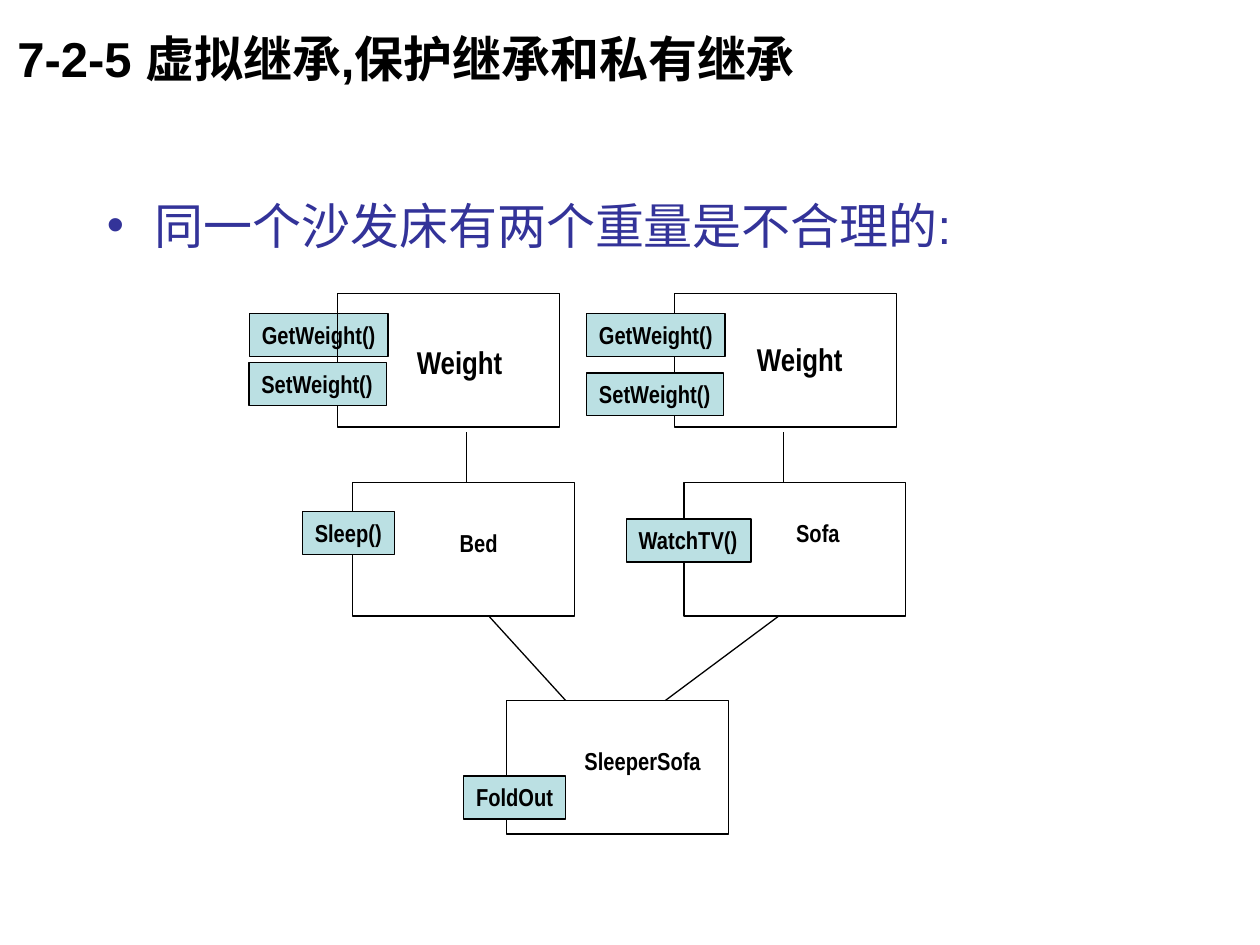
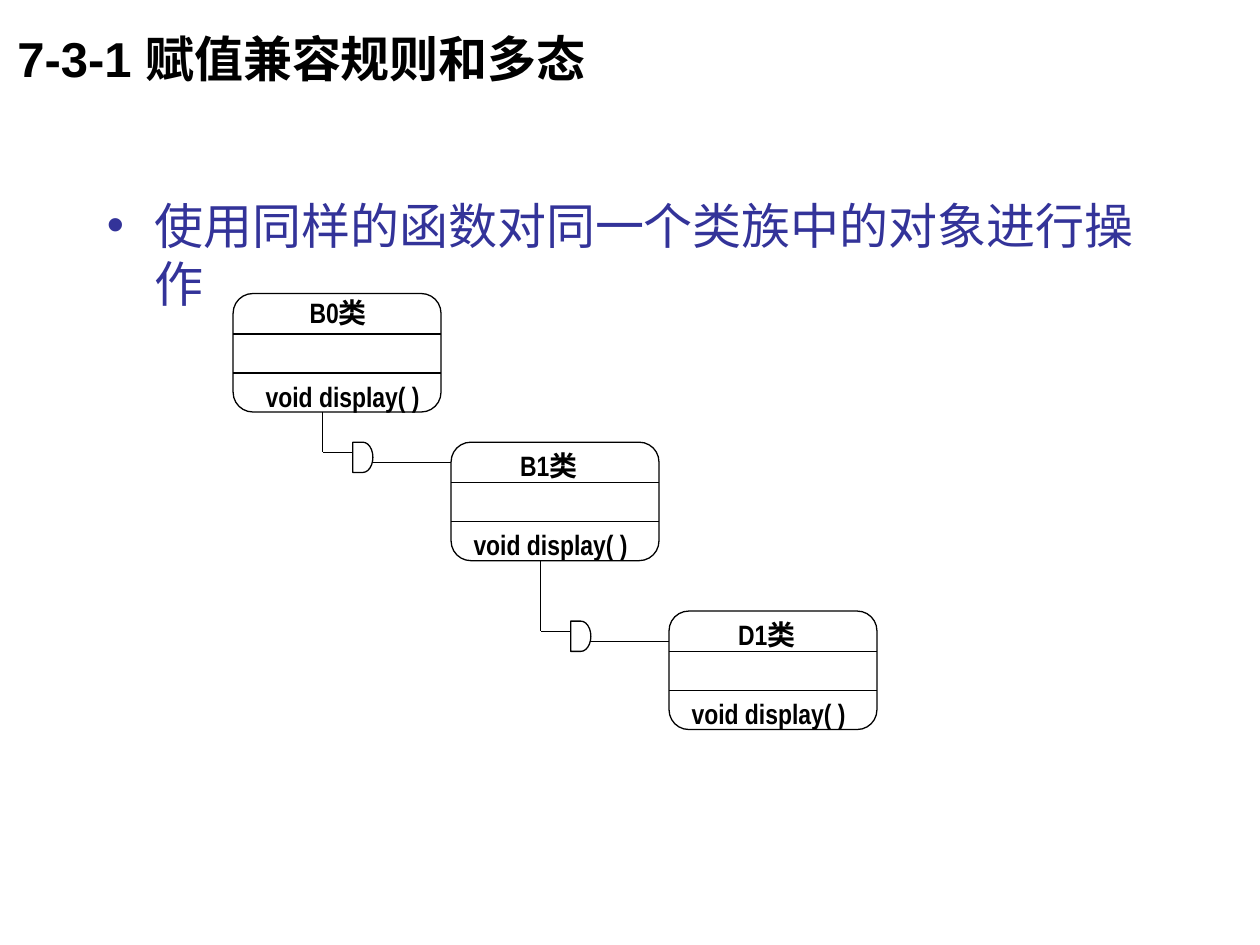
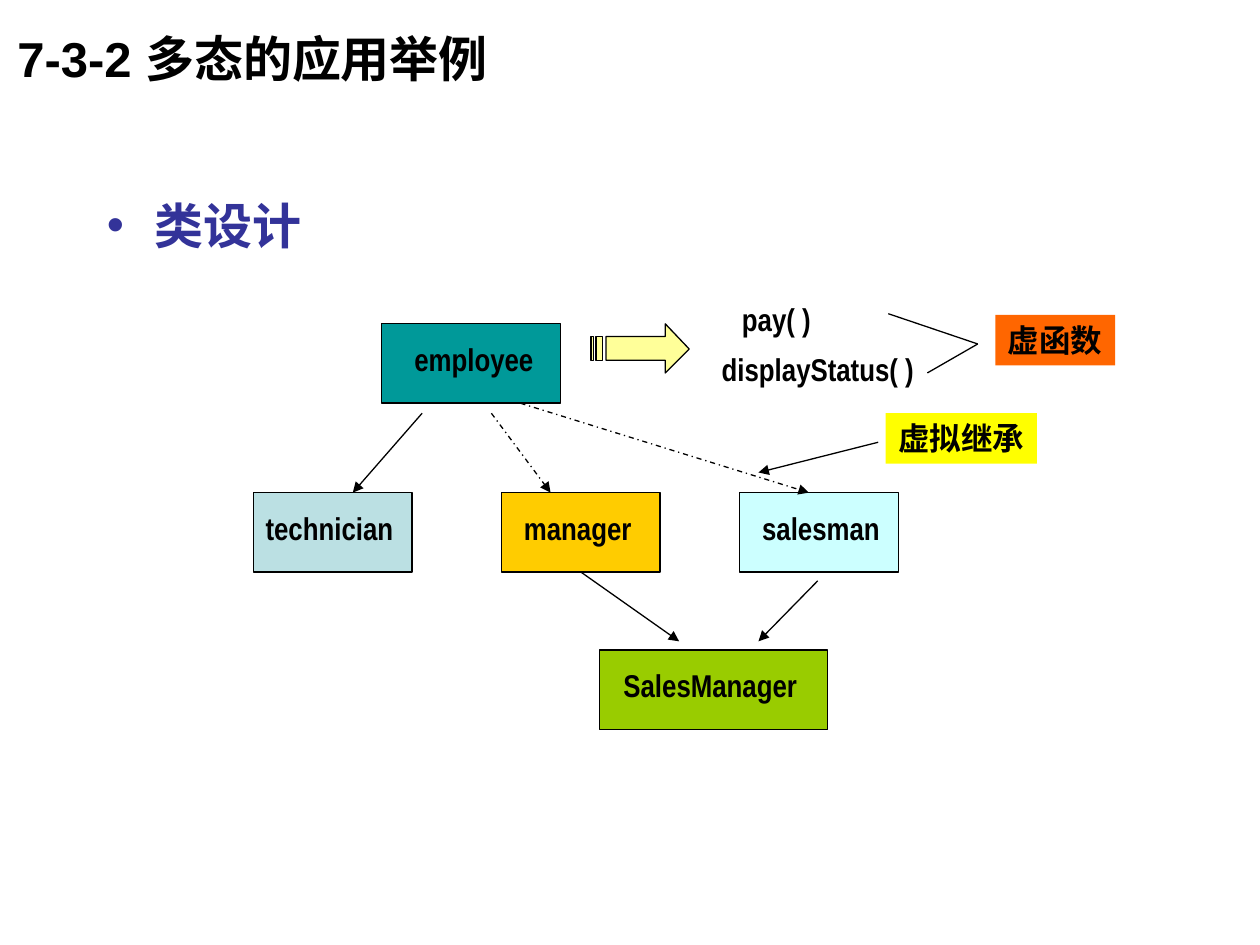
"""Three slides on class inheritance, laid out on a grid of 100 columns by 75 rows."""
from lxml.etree import SubElement
from pptx import Presentation
from pptx.dml.color import RGBColor
from pptx.enum.dml import MSO_LINE
from pptx.enum.lang import MSO_LANGUAGE_ID
from pptx.enum.shapes import MSO_CONNECTOR, MSO_SHAPE
from pptx.enum.text import MSO_ANCHOR, MSO_AUTO_SIZE, PP_ALIGN
from pptx.oxml.ns import qn
from pptx.util import Inches, Pt

WIDE, HIGH = Inches(10), Inches(7.5)
COLS, ROWS = 100, 75
SLACK = 0.6
INK = {
    "black": "000000", "blue": "333399", "pale": "BBE0E3", "teal": "009999",
    "gold": "FFCC00", "ice": "CCFFFF", "green": "99CC00", "cream": "FFFF99",
    "orange": "FF6600", "yellow": "FFFF00",
}


def col(n):
    """Turn grid columns into a length."""
    return round(WIDE * n / COLS)


def row(n):
    """Turn grid rows into a length."""
    return round(HIGH * n / ROWS)


def place(x, y, w, h):
    """Turn a grid box into four lengths."""
    return col(x), row(y), col(w), row(h)


def tint(name):
    """Look up a colour by name."""
    return RGBColor.from_string(INK[name])


def paint(shape, fill=None, edge=True):
    """Set fill and outline, and drop the shadow."""
    shape.shadow.inherit = False
    if fill:
        shape.fill.solid()
        shape.fill.fore_color.rgb = tint(fill)
    else:
        shape.fill.background()
    if edge:
        shape.line.color.rgb = tint("black")
        shape.line.width = Pt(0.75)
    else:
        shape.line.fill.background()


def box(slide, at, fill=None, kind=MSO_SHAPE.RECTANGLE, edge=True):
    """Draw a preset shape."""
    shape = slide.shapes.add_shape(kind, *place(*at))
    paint(shape, fill, edge)
    return shape


def dot(para):
    """Give a paragraph a hanging bullet."""
    props = para._p.get_or_add_pPr()
    props.set("marL", str(Inches(0.38)))
    props.set("indent", str(-Inches(0.38)))
    shade = SubElement(props, qn("a:buClr"))
    SubElement(shade, qn("a:srgbClr"), val=INK["blue"])
    SubElement(props, qn("a:buFont"), typeface="Arial")
    SubElement(props, qn("a:buChar"), char="•")


def text(slide, words, at, size=14, font="Arial Narrow", color="black", bold=True,
         fill=None, edge=False, wrap=False, grow=True, mid=False, mark=False):
    """Write text, on a filled shape if a fill is given."""
    x, y, w, h = at
    if fill:
        shape = box(slide, at, fill, edge=edge)
    else:
        room = 0 if wrap else SLACK
        shape = slide.shapes.add_textbox(*place(x, y, w + room, h))
    frame = shape.text_frame
    frame.word_wrap = wrap
    frame.auto_size = MSO_AUTO_SIZE.SHAPE_TO_FIT_TEXT if grow else MSO_AUTO_SIZE.NONE
    frame.vertical_anchor = MSO_ANCHOR.MIDDLE if mid else MSO_ANCHOR.TOP
    para = frame.paragraphs[0]
    para.alignment = PP_ALIGN.LEFT
    if mark:
        dot(para)
    run = para.add_run()
    run.text = words
    face = run.font
    face.size, face.name, face.bold = Pt(size), font, bold
    face.color.rgb = tint(color)
    face.language_id = MSO_LANGUAGE_ID.SIMPLIFIED_CHINESE


def line(slide, x1, y1, x2, y2, dash=False, arrow=False):
    """Draw a thin line, dashed or with an arrowhead on request."""
    link = slide.shapes.add_connector(
        MSO_CONNECTOR.STRAIGHT, col(x1), row(y1), col(x2), row(y2))
    link.line.color.rgb = tint("black")
    link.line.width = Pt(0.75)
    if dash:
        link.line.dash_style = MSO_LINE.DASH_DOT
    if arrow:
        SubElement(link.line._get_or_add_ln(), qn("a:tailEnd"), type="triangle")
    SubElement(link._element.spPr, qn("a:effectLst"))


def start(deck, title, point, bold=False):
    """Add a slide with its title and bullet point."""
    slide = deck.slides.add_slide(deck.slide_layouts[6])
    text(slide, title, (0.4, 0, 75, 9.2), size=28, font="Arial",
         wrap=True, grow=False, mid=True)
    text(slide, point, (7.5, 15, 85, 51.7), size=28, font="Arial", color="blue",
         bold=bold, wrap=True, grow=False, mark=True)
    return slide


def tag(slide, words, x, y, w):
    """Draw a method tag."""
    text(slide, words, (x, y, w, 3.4), fill="pale", edge=True)


def sofa(deck):
    """Build the slide on doubled weight."""
    slide = start(deck, "7-2-5 虚拟继承,保护继承和私有继承", "同一个沙发床有两个重量是不合理的:")
    for x, y in ((28, 38.3), (54.3, 38.3), (40.2, 55.6)):
        box(slide, (x, y, 17.6, 10.6))
    tag(slide, "Sleep()", 24, 40.6, 7.3)
    tag(slide, "GetWeight()", 19.8, 24.9, 11)
    tag(slide, "FoldOut", 36.8, 61.6, 8.1)
    tag(slide, "WatchTV()", 49.7, 41.2, 9.9)
    for words, x, y, w in (("Bed", 35.5, 41.4, 5), ("Sofa", 62.2, 40.6, 5.4),
                           ("SleeperSofa", 45.4, 58.7, 11.2)):
        text(slide, words, (x, y, w, 3.4))
    for x in (26.8, 53.55):
        box(slide, (x, 23.3, 17.6, 10.6))
    tag(slide, "SetWeight()", 19.75, 28.8, 10.9)
    tag(slide, "GetWeight()", 46.55, 24.9, 11)
    tag(slide, "SetWeight()", 46.55, 29.6, 10.9)
    for x, y in ((32.1, 26.7), (59.1, 26.5)):
        text(slide, "Weight", (x, y, 8.8, 4), size=18)
    for x1, y1, x2, y2 in ((38.8, 48.9, 44.9, 55.6), (61.8, 48.9, 52.8, 55.6),
                           (37, 34.3, 37, 38.3), (62.2, 34.3, 62.2, 38.3)):
        line(slide, x1, y1, x2, y2)


def card(slide, name, x, y, head, foot, lift=0):
    """Draw a class card with three parts."""
    box(slide, (x, y, 16.5, 9.4), kind=MSO_SHAPE.FLOWCHART_ALTERNATE_PROCESS)
    for rule in (3.2, 6.3):
        line(slide, x, y + rule, x + 16.5, y + rule)
    text(slide, name, (x + head, y - lift, 7, 3.7), size=16)
    text(slide, "void display( )", (x + foot, y + 6.3, 14.2, 3.7), size=16)


def joint(slide, x, y, bend):
    """Link the card at x, y to the next card."""
    line(slide, x + 7.1, y + 9.4, x + 7.1, bend)
    line(slide, x + 9.5, bend, x + 7.1, bend)
    box(slide, (x + 9.5, bend - 0.8, 1.6, 2.4), kind=MSO_SHAPE.FLOWCHART_DELAY)
    line(slide, x + 11, bend + 0.8, x + 17.3, bend + 0.8)


def family(deck):
    """Build the slide on one class family."""
    slide = start(deck, "7-3-1 赋值兼容规则和多态", "使用同样的函数对同一个类族中的对象进行操作")
    card(slide, "B0类", 18.5, 23.3, 5.1, 1.6, lift=0.3)
    card(slide, "B1类", 35.8, 35.1, 4.5, 0.8)
    card(slide, "D1类", 53.1, 48.5, 4.5, 0.8)
    joint(slide, 18.5, 23.3, 35.9)
    joint(slide, 35.8, 35.1, 50.1)


def node(slide, name, x, y, w, fill, inset, span):
    """Draw a class box with its name."""
    box(slide, (x, y, w, 6.3), fill)
    text(slide, name, (x + inset, y + 0.8, span, 4), size=18)


def stripe(slide):
    """Draw the striped arrow."""
    head = [(52.8, 25.7), (52.8, 26.7), (48.1, 26.7), (48.1, 28.6),
            (52.8, 28.6), (52.8, 29.6), (54.7, 27.7)]
    bars = [[(a, 26.7), (a, 28.6), (b, 28.6), (b, 26.7)]
            for a, b in ((47.3, 47.8), (46.9, 47.1))]
    pen = slide.shapes.build_freeform(col(head[0][0]), row(head[0][1]))
    for ring in (head, *bars):
        spots = [(col(x), row(y)) for x, y in ring]
        if ring is not head:
            pen.move_to(*spots[0])
        pen.add_line_segments(spots[1:], close=True)
    paint(pen.convert_to_shape(), "cream")


def staff(deck):
    """Build the slide on the staff classes."""
    slide = start(deck, "7-3-2 多态的应用举例", "类设计", bold=True)
    node(slide, "employee", 30.3, 25.7, 14.2, "teal", 1.6, 11.4)
    node(slide, "technician", 20.1, 39.1, 12.6, "pale", 0, 12.1)
    node(slide, "manager", 39.8, 39.1, 12.6, "gold", 0.8, 10.5)
    node(slide, "salesman", 58.7, 39.1, 12.6, "ice", 0.8, 11.3)
    node(slide, "SalesManager", 47.6, 51.6, 18.1, "green", 0.9, 15.8)
    for x1, y1, x2, y2, dash in (
            (33.5, 32.8, 28, 39.1, False), (39, 32.8, 43.7, 39.1, True),
            (41.3, 32, 64.2, 39.1, True), (46.1, 45.4, 53.9, 50.9, False),
            (64.9, 46.1, 60.2, 50.9, False), (69.7, 35.1, 60.2, 37.5, False)):
        line(slide, x1, y1, x2, y2, dash=dash, arrow=True)
    text(slide, "pay( )", (57.9, 23.3, 7.5, 4), size=18, wrap=True)
    text(slide, "displayStatus( )", (56.3, 27.3, 17.3, 4), size=18, wrap=True)
    stripe(slide)
    line(slide, 70.5, 24.9, 77.6, 27.3)
    line(slide, 73.6, 29.6, 77.6, 27.3)
    text(slide, "虚函数", (79, 25, 9.5, 4), size=18, fill="orange")
    text(slide, "虚拟继承", (70.3, 32.8, 12, 4), size=18, fill="yellow")


def main():
    """Build and save the deck."""
    deck = Presentation()
    deck.slide_width, deck.slide_height = WIDE, HIGH
    for build in (sofa, family, staff):
        build(deck)
    deck.save("out.pptx")


if __name__ == "__main__":
    main()
